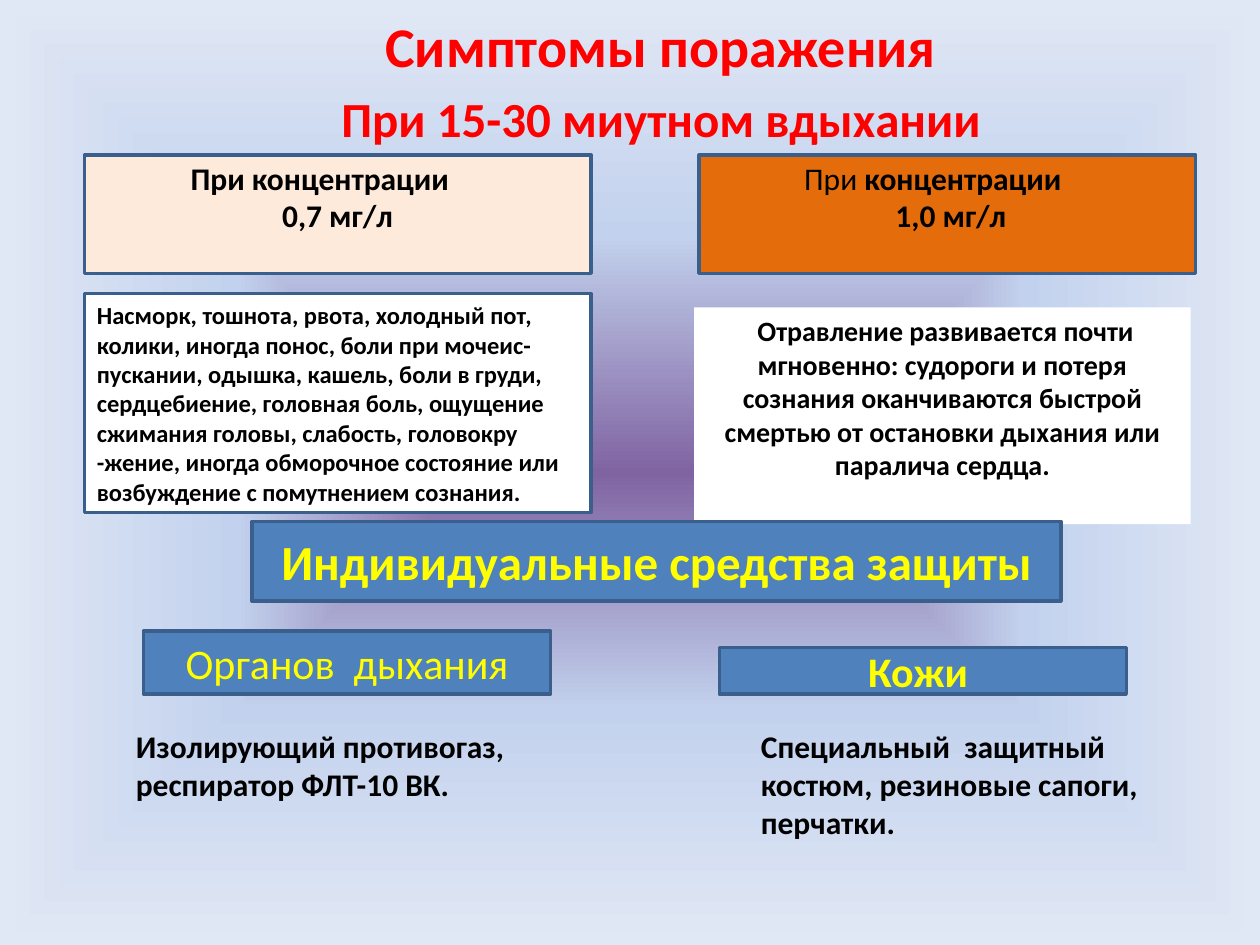
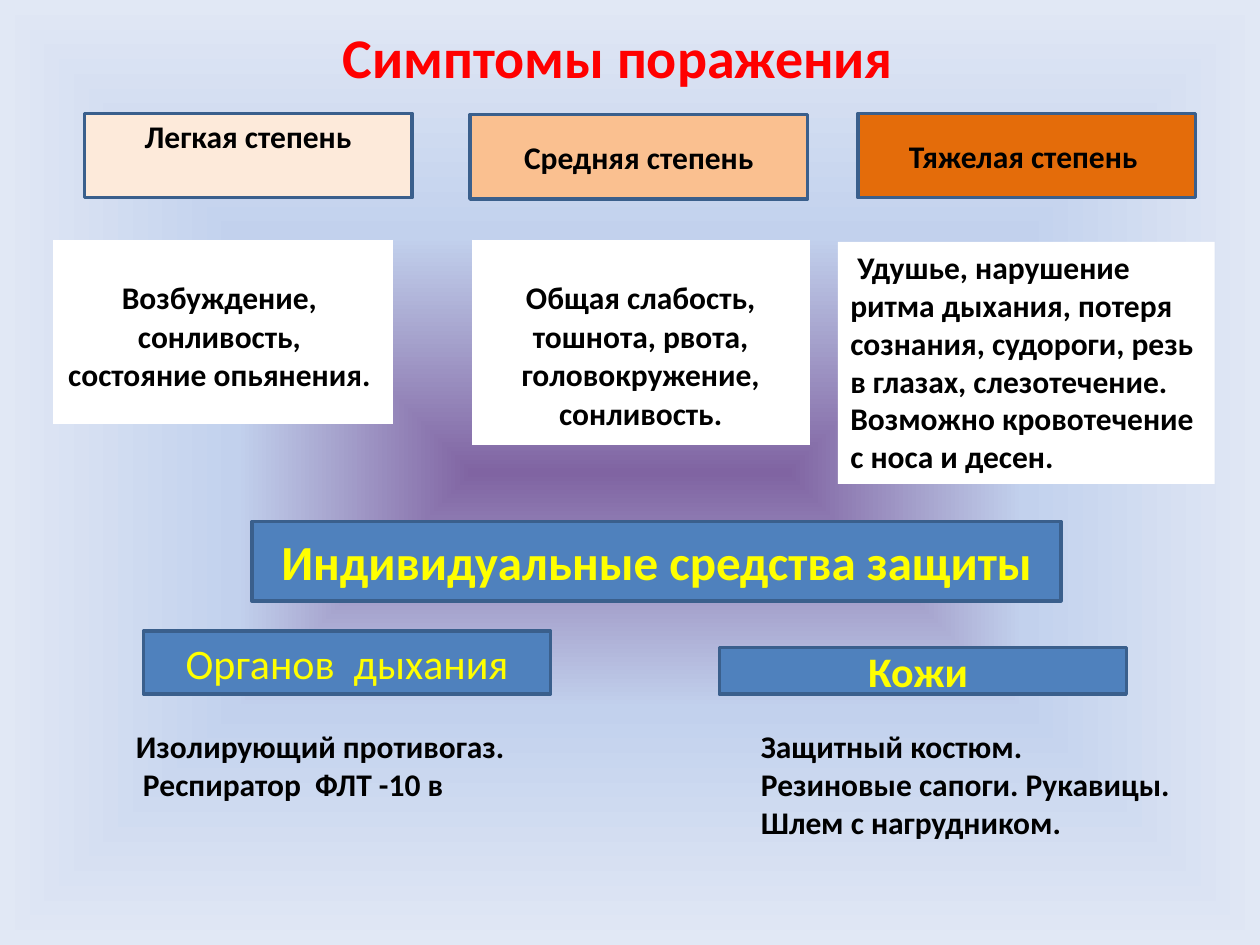
import pptx
import pptx.util
import pptx.dml.color
import pptx.enum.shapes
import pptx.enum.text
import pptx.oxml
import pptx.oxml.ns

Inches = pptx.util.Inches
Pt = pptx.util.Pt
ALIGN = pptx.enum.text.PP_ALIGN
ANCHOR = pptx.enum.text.MSO_ANCHOR

COLORS = {
    "red": "FF0000", "yellow": "FFFF00", "black": "000000", "white": "FFFFFF",
    "light": "FDEADA", "medium": "FAC090", "severe": "E46C0A",
    "blue": "4F81BD", "outline": "3A5F8C",
    "center": "8064A2", "middle": "C2D1ED", "edge": "E1E8F5",
}
FONT = "Calibri"
HEADING = "Симптомы поражения"
A_NS = pptx.oxml.ns.nsdecls("a")


def rgb(name):
    return pptx.dml.color.RGBColor.from_string(COLORS[name])


def write_text(frame, lines, size=18, color="black", bold=True, align=ALIGN.LEFT,
               anchor=ANCHOR.TOP, space_before=0):
    frame.word_wrap = True
    frame.auto_size = pptx.enum.text.MSO_AUTO_SIZE.NONE
    frame.vertical_anchor = anchor
    for number, line in enumerate([lines] if isinstance(lines, str) else lines):
        paragraph = frame.paragraphs[0] if number == 0 else frame.add_paragraph()
        paragraph.alignment = align
        paragraph.space_before = Pt(space_before)
        for text, is_bold in [(line, bold)] if isinstance(line, str) else line:
            run = paragraph.add_run()
            run.text = text
            run.font.name = FONT
            run.font.size = Pt(size)
            run.font.bold = is_bold
            run.font.color.rgb = rgb(color)


class Deck:
    def __init__(self):
        self.presentation = pptx.Presentation()
        self.presentation.slide_width = Inches(10)
        self.presentation.slide_height = Inches(7.5)
        self.slide = None
        self.paint_background()

    def paint_background(self):
        master = self.presentation.slide_master
        master.background.fill.gradient()
        plain = master.element.find(".//" + pptx.oxml.ns.qn("a:gradFill"))
        stops = "".join(
            f'<a:gs pos="{position}"><a:srgbClr val="{COLORS[name]}"/></a:gs>'
            for position, name in ((0, "center"), (50000, "middle"), (100000, "edge")))
        plain.getparent().replace(plain, pptx.oxml.parse_xml(
            f'<a:gradFill {A_NS} rotWithShape="1"><a:gsLst>{stops}</a:gsLst>'
            '<a:path path="shape"><a:fillToRect l="50000" t="50000" r="50000" b="50000"/>'
            '</a:path></a:gradFill>'))

    def add_slide(self):
        self.slide = self.presentation.slides.add_slide(self.presentation.slide_layouts[5])

    def title(self, left, top, width, height, subtitle=None):
        heading = self.slide.shapes.title
        heading.left, heading.top = Inches(left), Inches(top)
        heading.width, heading.height = Inches(width), Inches(height)
        write_text(heading.text_frame, [HEADING] + ([subtitle] if subtitle else []),
                   size=32, color="red", align=ALIGN.CENTER, space_before=5.6)
        for paragraph in heading.text_frame.paragraphs[1:]:
            paragraph.runs[0].font.size = Pt(28)

    def box(self, left, top, width, height, lines, fill="white", outlined=True, **text_format):
        panel = self.slide.shapes.add_shape(
            pptx.enum.shapes.MSO_SHAPE.RECTANGLE,
            Inches(left), Inches(top), Inches(width), Inches(height))
        panel.shadow.inherit = False
        panel.fill.solid()
        panel.fill.fore_color.rgb = rgb(fill)
        if outlined:
            panel.line.color.rgb = rgb("outline")
            panel.line.width = Pt(2)
        else:
            panel.line.fill.background()
        write_text(panel.text_frame, lines, **text_format)
        return panel

    def concentration(self, left, width, label, amount, fill, offset=0.28):
        panel = self.box(left, 1.23, width, 0.94, [label, amount], fill=fill,
                         align=ALIGN.CENTER)
        panel.text_frame.margin_top = Inches(0.03)
        panel.text_frame.margin_right = Inches(0.1 + offset)
        properties = panel.text_frame.paragraphs[1]._p.get_or_add_pPr()
        properties.set("marL", str(Inches(offset)))

    def label(self, left, top, width, height, lines):
        note = self.slide.shapes.add_textbox(
            Inches(left), Inches(top), Inches(width), Inches(height))
        write_text(note.text_frame, lines)

    def symptom_table(self, left, width, height, lines):
        frame = self.slide.shapes.add_table(
            1, 1, Inches(left), Inches(1.92), Inches(width), Inches(height))
        cell = frame.table.cell(0, 0)
        cell.margin_left = cell.margin_right = Inches(0.07)
        cell.margin_top, cell.margin_bottom = Inches(0.3), 0
        cell.fill.solid()
        cell.fill.fore_color.rgb = rgb("white")
        properties = cell._tc.get_or_add_tcPr()
        for index, (side, points) in enumerate((("L", 1), ("R", 1), ("T", 3), ("B", 3))):
            properties.insert(index, pptx.oxml.parse_xml(
                f'<a:ln{side} {A_NS} w="{Pt(points)}"><a:solidFill>'
                f'<a:srgbClr val="{COLORS["white"]}"/></a:solidFill></a:ln{side}>'))
        write_text(cell.text_frame, lines, align=ALIGN.CENTER)

    def protection(self, breathing, breathing_width, skin, skin_width):
        style = dict(fill="blue", color="yellow", align=ALIGN.CENTER, anchor=ANCHOR.MIDDLE)
        self.box(2, 4.14, 6.42, 0.63, "Индивидуальные средства защиты", size=28, **style)
        self.box(1.14, 5.01, 3.23, 0.5, "Органов  дыхания", size=24, bold=False, **style)
        self.box(5.71, 5.14, 3.23, 0.37, "Кожи ", size=24, **style)
        self.label(0.98, 5.72, breathing_width, 0.71, breathing)
        self.label(5.94, 5.72, skin_width, 1.01, skin)


def concentration_slide(deck):
    deck.add_slide()
    deck.title(0.67, 0.04, 9.15, 1.17, "При 15-30 миутном вдыхании")
    deck.concentration(0.67, 4.02, "При концентрации", "0,7 мг/л", "light")
    deck.concentration(5.55, 3.94, [("При ", False), ("концентрации", True)],
                       " 1,0 мг/л", "severe", offset=0.23)
    deck.box(5.51, 2.44, 3.94, 1.72,
             " Отравление развивается почти мгновенно: судороги и потеря сознания "
             "оканчиваются быстрой смертью от остановки дыхания или паралича сердца.",
             outlined=False, size=16, align=ALIGN.CENTER)
    deck.protection("Изолирующий противогаз, респиратор ФЛТ-10 ВК.", 3.15,
                    "Специальный  защитный костюм, резиновые сапоги, перчатки.", 3.39)
    deck.box(0.67, 2.33, 4.02, 1.74,
             "Насморк, тошнота, рвота, холодный пот, колики, иногда понос, боли при "
             "мочеис- пускании, одышка, кашель, боли в груди, сердцебиение, головная боль, "
             "ощущение сжимания головы, слабость, головокру -жение, иногда обморочное "
             "состояние или возбуждение с помутнением сознания.",
             size=14, anchor=ANCHOR.MIDDLE)


def severity_slide(deck):
    deck.add_slide()
    deck.title(0, 0.13, 9.81, 0.75)
    for left, top, width, degree, fill, anchor in (
            (0.67, 0.9, 2.6, "Легкая степень", "light", ANCHOR.TOP),
            (3.73, 0.91, 2.68, "Средняя степень", "medium", ANCHOR.MIDDLE),
            (6.81, 0.9, 2.68, "Тяжелая степень ", "severe", ANCHOR.MIDDLE)):
        panel = deck.box(left, top, width, 0.67, degree, fill=fill, align=ALIGN.CENTER,
                         anchor=anchor)
        panel.text_frame.margin_top = panel.text_frame.margin_bottom = Inches(0.03)
    deck.symptom_table(0.43, 2.68, 1.43,
                       ["Возбуждение, ", "сонливость, ", "состояние опьянения. "])
    deck.symptom_table(3.75, 2.67, 1.59,
                       "Общая слабость, тошнота, рвота, головокружение, сонливость.")
    deck.box(6.65, 1.92, 2.99, 1.92,
             " Удушье, нарушение ритма дыхания, потеря сознания, судороги, резь в глазах, "
             "слезотечение. Возможно кровотечение с носа и десен.", outlined=False)
    deck.protection(["Изолирующий противогаз.", " Респиратор  ФЛТ -10 в"], 3.78,
                    ["Защитный костюм.", "Резиновые сапоги. Рукавицы.",
                     "Шлем с нагрудником."], 3.54)


def main():
    deck = Deck()
    concentration_slide(deck)
    severity_slide(deck)
    deck.presentation.save("out.pptx")


if __name__ == "__main__":
    main()
